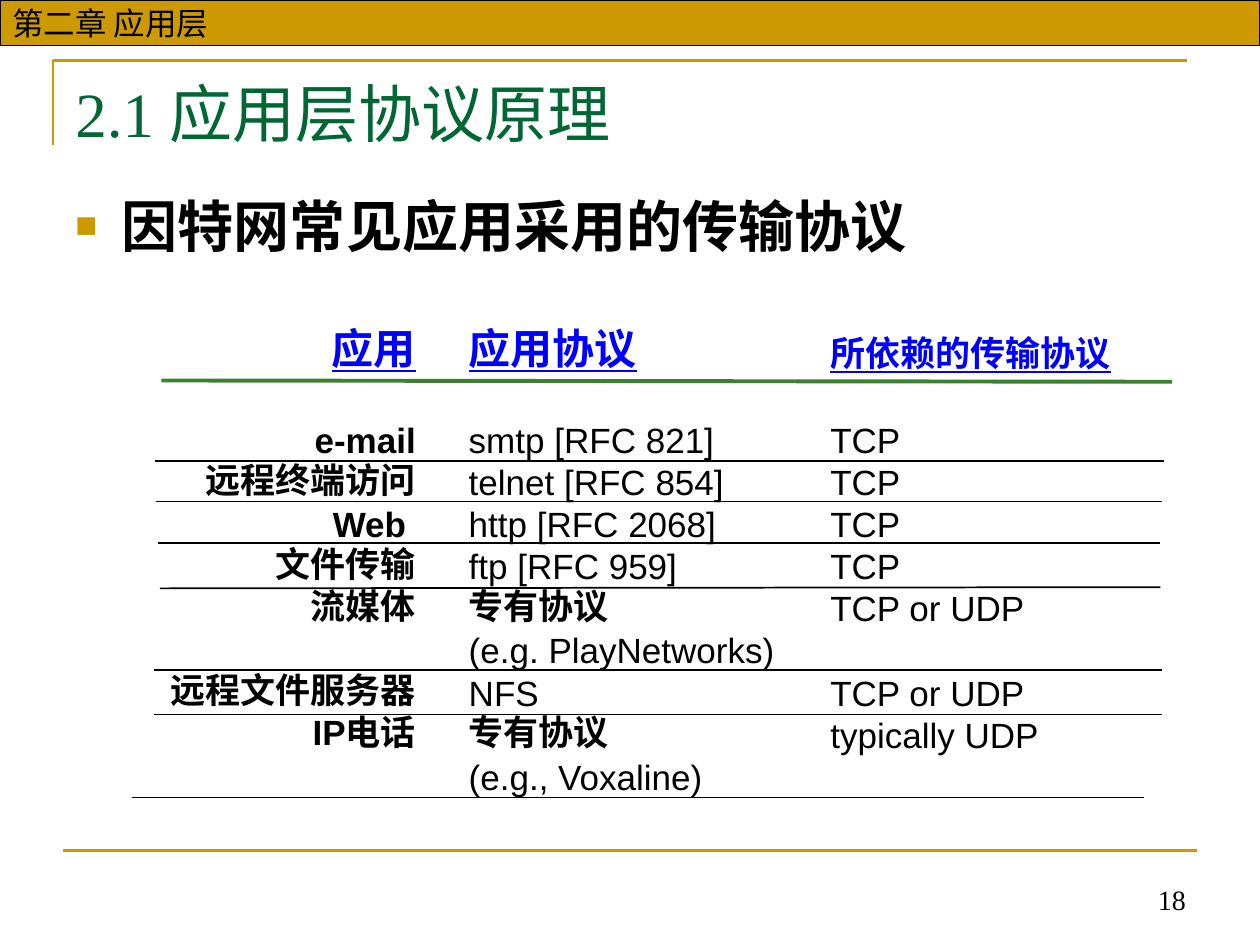
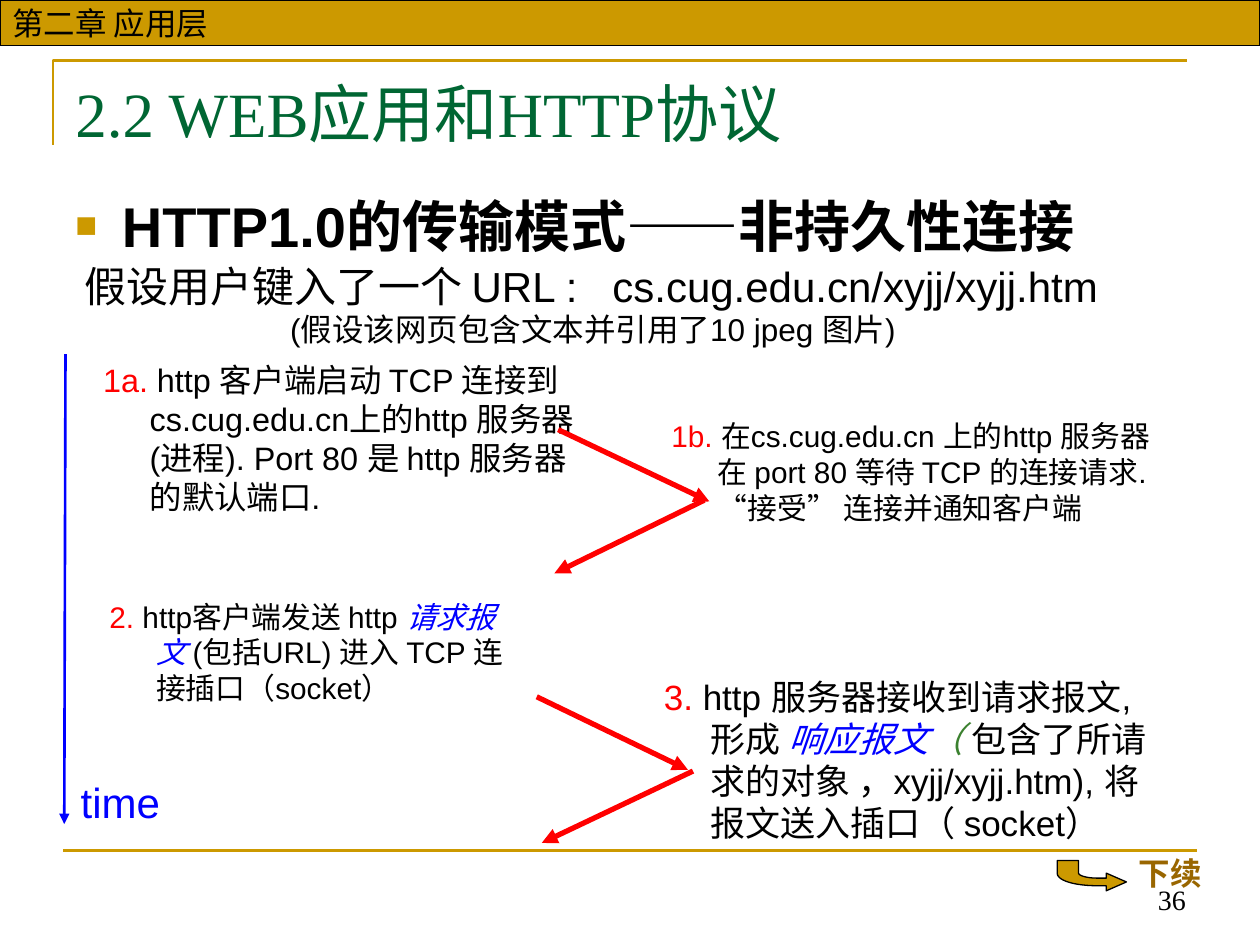
from dataclasses import dataclass
from typing import NamedTuple

from lxml.etree import SubElement
from pptx import Presentation
from pptx.dml.color import RGBColor
from pptx.enum.shapes import MSO_CONNECTOR, MSO_SHAPE
from pptx.enum.text import MSO_ANCHOR, PP_ALIGN
from pptx.oxml import parse_xml
from pptx.oxml.ns import nsdecls, qn
from pptx.util import Inches, Pt

GOLD, BLACK, GREEN, RED, BLUE = "CC9900", "000000", "3B812F", "FF0000", "0000FF"
TITLE_GREEN, BROWN = "006633", "996600"
SANS, SERIF, CHINESE = "Arial", "Times New Roman", "Noto Sans CJK SC"
LINE_FACTOR = 1.2
ROW_LINE = 20 * LINE_FACTOR / 72
NO_STYLE = "{2D5ABB26-0587-4C30-8999-92F81FD0307C}"


class Span(NamedTuple):
    """A stretch of text with its own colour and slant."""
    text: str
    color: str = BLACK
    italic: bool = False


class Protocol(NamedTuple):
    """One row of the protocol table."""
    application: str
    protocol: str
    transport: str
    example: str = ""


@dataclass
class Rule:
    """A straight line between two points."""
    start: tuple[float, float]
    end: tuple[float, float]
    color: str = BLACK
    width: float = 1


@dataclass
class Arrow(Rule):
    """A line with an arrowhead at its end."""
    color: str = RED
    width: float = 3


@dataclass
class Step:
    """A numbered step of the exchange."""
    place: tuple[float, float, float, float]
    size: float
    spans: list[Span]


HEADERS = [("应用", 24), ("应用协议", 24), ("所依赖的传输协议", 20)]
PROTOCOLS = [
    Protocol("e-mail", "smtp [RFC 821]", "TCP"),
    Protocol("远程终端访问", "telnet [RFC 854]", "TCP"),
    Protocol("Web ", "http [RFC 2068]", "TCP"),
    Protocol("文件传输", "ftp [RFC 959]", "TCP"),
    Protocol("流媒体", "专有协议", "TCP or UDP", "(e.g. PlayNetworks)"),
    Protocol("远程文件服务器", "NFS", "TCP or UDP"),
    Protocol("IP电话", "专有协议", "typically UDP", "(e.g., Voxaline)"),
]
ROW_RULES = [
    Rule((1.28, 3.02), (9.3, 3.03), GREEN, 2.25),
    Rule((1.23, 3.66), (9.24, 3.66)),
    Rule((1.24, 3.98), (9.22, 3.98)),
    Rule((1.25, 4.31), (9.21, 4.31)),
    Rule((1.27, 4.67), (9.21, 4.66)),
    Rule((1.22, 5.32), (9.22, 5.32)),
    Rule((1.22, 5.67), (9.22, 5.67)),
    Rule((1.05, 6.33), (9.08, 6.33)),
]
STEPS = [
    Step((0.72, 2.81, 3.97, 1.56), 18.5, [
        Span("1a.", RED),
        Span(" http 客户端启动 TCP 连接到cs.cug.edu.cn上的http 服务器 (进程). "
             "Port 80 是 http 服务器的默认端口.")]),
    Step((0.77, 4.7, 3.44, 1.18), 17, [
        Span("2.", RED), Span(" http客户端发送 http "), Span("请求报文 ", BLUE, True),
        Span("(包括URL) 进入 TCP 连接插口（socket）")]),
    Step((5.23, 3.27, 4.1, 1.34), 17, [
        Span("1b. ", RED),
        Span("在cs.cug.edu.cn 上的http 服务器在 port 80 等待 TCP 的连接请求.  "
             "“接受” 连接并通知客户端")]),
    Step((5.17, 5.31, 4.17, 1.97), 20, [
        Span("3.", RED), Span(" http 服务器接收到请求报文, 形成 "),
        Span("响应报文", BLUE, True), Span("（", GREEN, True),
        Span(" 包含了所请求的对象 ，xyjj/xyjj.htm), 将报文送入插口（ socket）")]),
]
ARROWS = [
    Arrow((0.52, 2.81), (0.51, 6.54), BLUE, 1.5),
    Arrow((4.43, 3.41), (5.63, 3.98)),
    Arrow((5.59, 3.97), (4.4, 4.55)),
    Arrow((4.26, 5.53), (5.46, 6.11)),
    Arrow((5.5, 6.12), (4.3, 6.69)),
]


def rgb(color: str) -> RGBColor:
    """Turn a hex string into a colour."""
    return RGBColor.from_string(color)


def write(para, text, *, size, font=SANS, color=BLACK, bold=False, italic=False,
          underline=False, align=PP_ALIGN.LEFT, factor=LINE_FACTOR, hanging=0.0) -> None:
    """Write a string or a list of spans into a paragraph."""
    para.alignment = align
    para.line_spacing = Pt(round(size * factor, 1))
    if hanging:
        properties = para._p.get_or_add_pPr()
        properties.set("marL", str(Inches(hanging)))
        properties.set("indent", str(-Inches(hanging)))
    spans = [Span(text, color, italic)] if isinstance(text, str) else text
    for span in spans:
        run = para.add_run()
        run.text = span.text
        run.font.name, run.font.size = font, Pt(size)
        run.font.bold, run.font.italic, run.font.underline = bold, span.italic, underline
        run.font.color.rgb = rgb(span.color)
        SubElement(run.font._element, qn("a:ea")).set("typeface", CHINESE)


def add_text(page, place, text, *, anchor=MSO_ANCHOR.TOP, wrap=True, **style):
    """Add a text box and return its paragraph."""
    box = page.shapes.add_textbox(*map(Inches, place))
    frame = box.text_frame
    frame.word_wrap, frame.vertical_anchor = wrap, anchor
    write(frame.paragraphs[0], text, **style)
    return frame.paragraphs[0]


def add_rule(page, rule: Rule) -> None:
    """Draw a rule, with an arrowhead if it is an arrow."""
    line = page.shapes.add_connector(MSO_CONNECTOR.STRAIGHT,
                                     *map(Inches, (*rule.start, *rule.end)))
    line.line.color.rgb, line.line.width = rgb(rule.color), Pt(rule.width)
    if isinstance(rule, Arrow):
        SubElement(line.line._get_or_add_ln(), qn("a:tailEnd")).set("type", "triangle")
    SubElement(line._element.spPr, qn("a:effectLst"))


def paint(shape, fill, line, width) -> None:
    """Set the fill and outline of a shape."""
    shape.shadow.inherit = False
    if fill:
        shape.fill.solid()
        shape.fill.fore_color.rgb = rgb(fill)
    else:
        shape.fill.background()
    shape.line.color.rgb, shape.line.width = rgb(line), Pt(width)


def add_outline(page, points, *, closed, fill, line, width) -> None:
    """Draw a freeform through the given points."""
    builder = page.shapes.build_freeform(*map(Inches, points[0]), scale=1.0)
    builder.add_line_segments([tuple(map(Inches, point)) for point in points[1:]], close=closed)
    paint(builder.convert_to_shape(), fill, line, width)


def curve(*controls, parts=12) -> list[tuple[float, float]]:
    """Return points along a cubic curve with four control points."""
    points = []
    for part in range(parts + 1):
        t = part / parts
        weights = ((1 - t) ** 3, 3 * t * (1 - t) ** 2, 3 * t ** 2 * (1 - t), t ** 3)
        points.append(tuple(sum(weight * value for weight, value in zip(weights, axis))
                            for axis in zip(*controls)))
    return points


def add_page(deck, title, heading, number, heading_font=SANS):
    """Add a page with the shared frame, title, heading and number."""
    page = deck.slides.add_slide(deck.slide_layouts[6])
    add_outline(page, [(0.42, 1.15), (0.42, 0.48), (9.42, 0.48)],
                closed=False, fill=None, line=GOLD, width=1.5)
    add_rule(page, Rule((0.5, 6.75), (9.5, 6.75), GOLD, 1.5))
    band = page.shapes.add_shape(MSO_SHAPE.RECTANGLE, 0, 0, Inches(10), Inches(0.36))
    paint(band, GOLD, BLACK, 0.75)
    band.text_frame.word_wrap = False
    band.text_frame.vertical_anchor = MSO_ANCHOR.MIDDLE
    write(band.text_frame.paragraphs[0], "第二章 应用层", size=18)
    add_text(page, (6.34, 6.82, 3.17, 0.5), number, size=16, font=SERIF,
             align=PP_ALIGN.RIGHT, anchor=MSO_ANCHOR.BOTTOM)
    add_text(page, (0.5, 0.54, 9, 0.77), title, size=36, font=SERIF, color=TITLE_GREEN)
    para = add_text(page, (0.5, 1.47, 9, 0.79), heading, size=32, font=heading_font,
                    bold=True, hanging=0.37)
    properties = para._p.get_or_add_pPr()
    for bullet in (f'<a:buClr {nsdecls("a")}><a:srgbClr val="{GOLD}"/></a:buClr>',
                   f'<a:buSzPct {nsdecls("a")} val="65000"/>',
                   f'<a:buFont {nsdecls("a")} typeface="{SANS}"/>',
                   f'<a:buChar {nsdecls("a")} char="■"/>'):
        properties.append(parse_xml(bullet))
    return page


def format_cell(cell, column, anchor, bottom=0.0) -> None:
    """Set the margins and anchor of a cell and clear its fill."""
    cell.margin_left = Inches(0.1 if column else 0)
    cell.margin_right = Inches(0 if column else 0.32)
    cell.margin_top, cell.margin_bottom = 0, Inches(bottom)
    cell.vertical_anchor = anchor
    cell.fill.background()


def add_protocol_table(page) -> None:
    """Add the table of applications and their protocols."""
    heights = [0.52, 0.64] + [ROW_LINE * (2 if row.example else 1) for row in PROTOCOLS[1:]]
    frame = page.shapes.add_table(len(heights), len(HEADERS), Inches(1.22), Inches(2.5),
                                  Inches(8), Inches(sum(heights)))
    table = frame.table
    table.first_row = table.horz_banding = False
    table._tbl.tblPr.find(qn("a:tableStyleId")).text = NO_STYLE
    for column, width in zip(table.columns, (2.4, 2.87, 2.73)):
        column.width = Inches(width)
    for row, height in zip(table.rows, heights):
        row.height = Inches(height)
    aligns = (PP_ALIGN.RIGHT, PP_ALIGN.LEFT, PP_ALIGN.LEFT)
    for column, (header, size) in enumerate(HEADERS):
        cell = table.cell(0, column)
        write(cell.text_frame.paragraphs[0], header, size=size, color=BLUE, bold=True,
              underline=True, align=aligns[column])
        format_cell(cell, column, MSO_ANCHOR.BOTTOM, bottom=0.03)
    for index, row in enumerate(PROTOCOLS, start=1):
        anchor = MSO_ANCHOR.BOTTOM if index == 1 else MSO_ANCHOR.TOP
        bolds = (True, bool(row.example), False)
        for column, text in enumerate((row.application, row.protocol, row.transport)):
            cell = table.cell(index, column)
            write(cell.text_frame.paragraphs[0], text, size=20, bold=bolds[column],
                  align=aligns[column])
            format_cell(cell, column, anchor)
        if row.example:
            write(table.cell(index, 1).text_frame.add_paragraph(), row.example, size=20)


def add_continue_arrow(page) -> None:
    """Draw the bent arrow and its label."""
    bend = [(8.94, 7), (8.78, 7.07), (8.78, 7.03),
            *curve((8.71, 7.03), (8.53, 7.03), (8.39, 6.99), (8.39, 6.93)),
            (8.39, 6.83), (8.56, 6.83),
            *curve((8.56, 6.93), (8.56, 6.95), (8.63, 6.97), (8.71, 6.97)),
            (8.78, 6.97), (8.78, 6.93)]
    add_outline(page, bend, closed=True, fill=GOLD, line=BLACK, width=0.75)
    add_text(page, (8.94, 6.73, 0.78, 0.4), "下续", size=18, color=BROWN, bold=True)


def build_protocol_page(deck) -> None:
    """Build the page of transport protocols."""
    page = add_page(deck, "2.1 应用层协议原理", "因特网常见应用采用的传输协议", "18", CHINESE)
    add_protocol_table(page)
    for rule in ROW_RULES:
        add_rule(page, rule)


def build_connection_page(deck) -> None:
    """Build the page of the non-persistent connection."""
    page = add_page(deck, "2.2 WEB应用和HTTP协议", "HTTP1.0的传输模式——非持久性连接", "36")
    add_text(page, (0.57, 2.06, 9.43, 0.51),
             "假设用户键入了一个 URL :   cs.cug.edu.cn/xyjj/xyjj.htm",
             size=24, factor=1.08, hanging=0.38)
    add_text(page, (1.06, 2.41, 7.29, 0.4), "(假设该网页包含文本并引用了10 jpeg 图片)",
             size=18, align=PP_ALIGN.CENTER)
    for step in STEPS:
        add_text(page, step.place, step.spans, size=step.size, hanging=0.37)
    for arrow in ARROWS:
        add_rule(page, arrow)
    add_text(page, (0.54, 6.11, 0.83, 0.5), "time", size=24, color=BLUE,
             align=PP_ALIGN.CENTER, wrap=False)
    add_continue_arrow(page)


def main() -> None:
    """Build the deck and save it."""
    deck = Presentation()
    deck.slide_width, deck.slide_height = Inches(10), Inches(7.5)
    build_protocol_page(deck)
    build_connection_page(deck)
    deck.save("out.pptx")


if __name__ == "__main__":
    main()
